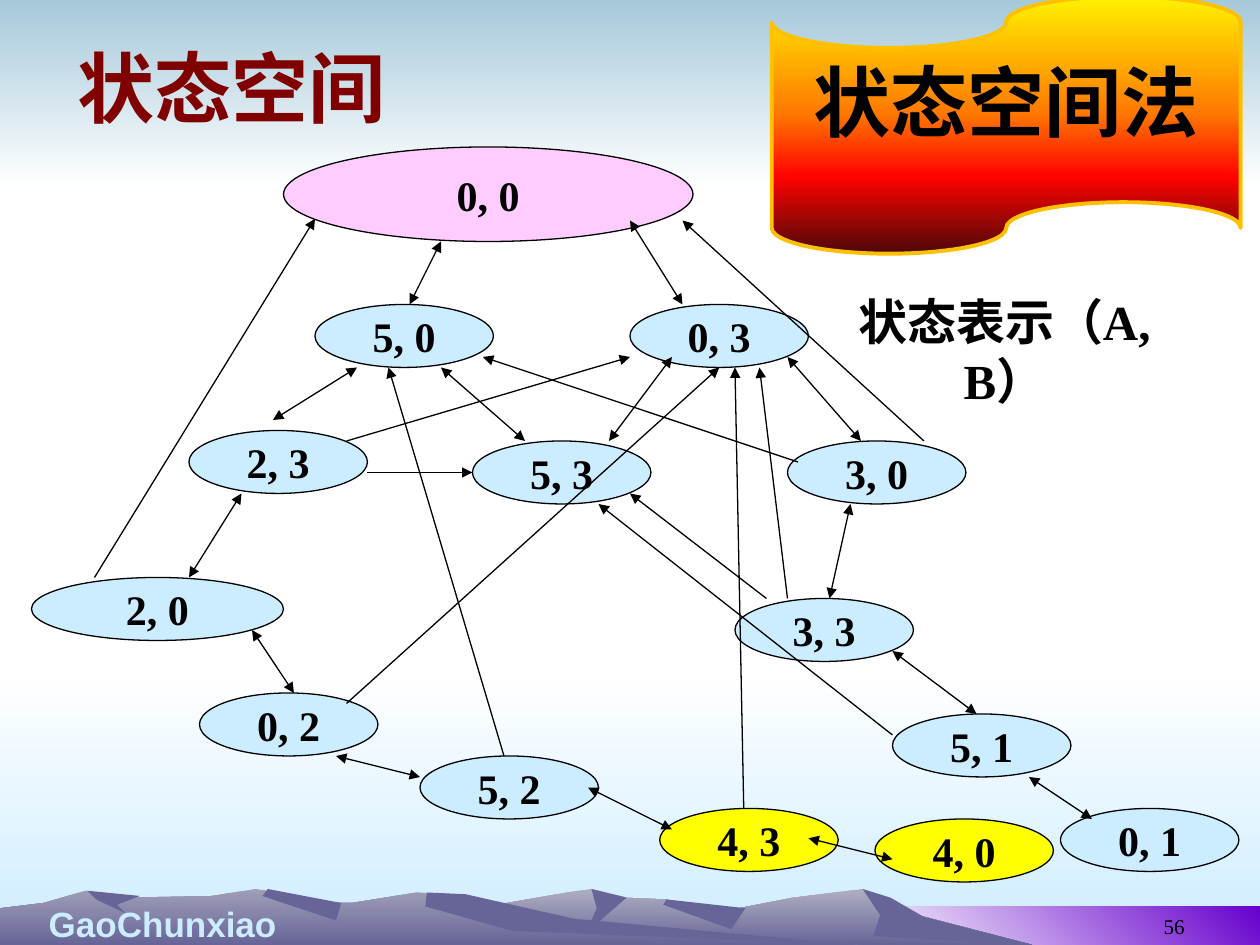
from lxml.etree import SubElement
from pptx import Presentation
from pptx.dml.color import RGBColor
from pptx.enum.shapes import MSO_CONNECTOR, MSO_SHAPE
from pptx.enum.text import MSO_ANCHOR, MSO_AUTO_SIZE, PP_ALIGN
from pptx.oxml.ns import qn
from pptx.util import Pt

THEME = {
    "title": "800000", "ink": "000000", "pale": "CCECFF", "pink": "FFCCFF",
    "gold": "FFFF00", "rock": "676597", "edge": "FFC000",
    "sky": [(0, "A6C9DA"), (100, "FFFFFF")],
    "glow": [(0, "FFFFFF"), (100, "CCECFF")],
    "dusk": [(0, "FFFFFF"), (100, "6600CC")],
    "far": [(0, "AEAEC2"), (100, "676597")],
    "near": [(0, "9F9EB8"), (100, "676597")],
    "fire": [(0, "FFF200"), (45, "FF7A00"), (70, "FF0300"), (100, "4D0808")],
    "serif": "Times New Roman", "sans": "Arial",
    "big": 44, "note": 28, "node": 24, "foot": 20, "page": 12,
    "thin": 0.75, "thick": 2.25,
}

# Background bands: box, gradient, angle
BANDS = [
    ((0, 384, 720, 156), "glow", 90),
    ((0, 0, 720, 108), "sky", 90),
    ((492, 518, 228, 22), "dusk", 315),
]

# Mountain outlines: fill, points
HILLS = [
    ("far", [(186, 540), (256, 522), (324, 510), (338, 508), (358, 513), (381, 514),
             (407, 522), (453, 513), (493, 508), (521, 522), (590, 540)]),
    ("rock", [(493, 508), (509, 513), (528, 524), (555, 531), (590, 540),
              (499, 535), (503, 523)]),
    ("rock", [(338, 508), (358, 513), (335, 533), (341, 519)]),
    ("rock", [(381, 514), (426, 519), (418, 531), (379, 517)]),
    ("near", [(0, 540), (0, 519), (25, 516), (49, 509), (68, 513), (121, 512),
              (146, 508), (161, 510), (170, 516), (201, 516), (238, 510),
              (255, 511), (311, 527), (490, 540)]),
    ("rock", [(153, 508), (195, 516), (192, 526), (150, 512)]),
    ("rock", [(244, 510), (266, 511), (328, 525), (490, 540), (293, 532), (243, 518)]),
    ("rock", [(50, 509), (80, 512), (67, 517), (72, 522), (55, 514)]),
]

# States by fill: label, left, top; all the same size but the wide ones
SIZE = (102, 36)
WIDE = {"0, 0": (234, 54), "2, 0": (144, 36)}
NODES = {
    "pink": [("0, 0", 162, 84)],
    "pale": [("5, 0", 180, 174), ("0, 3", 360, 174), ("2, 3", 108, 246),
             ("5, 3", 270, 252), ("3, 0", 450, 252), ("2, 0", 18, 330),
             ("3, 3", 420, 342), ("0, 2", 114, 396), ("5, 2", 240, 432),
             ("5, 1", 510, 408), ("0, 1", 606, 462)],
    "gold": [("4, 3", 377, 462), ("4, 0", 500, 468)],
}

# Moves by arrowheads: x1, y1, x2, y2
MOVES = {
    ("headEnd", "tailEnd"): [
        (252, 138, 234, 174), (360, 126, 390, 174), (204, 210, 156, 240),
        (252, 210, 300, 252), (384, 204, 348, 252), (450, 204, 492, 252),
        (108, 330, 138, 282), (486, 288, 474, 342), (144, 360, 168, 396),
        (192, 432, 240, 444), (510, 372, 558, 408), (336, 450, 384, 474),
        (588, 444, 624, 468), (462, 479, 510, 491)],
    ("tailEnd",): [
        (210, 270, 270, 270), (198, 252, 360, 204), (456, 264, 276, 204),
        (528, 252, 390, 126), (54, 330, 180, 125), (438, 342, 360, 282),
        (450, 342, 434, 210), (198, 402, 411, 210), (288, 432, 222, 210),
        (510, 420, 342, 288), (425, 462, 420, 210)],
}


def box(*lengths):
    return [Pt(v) for v in lengths]


def color(key):
    return RGBColor.from_string(THEME[key])


def style(shape, key, turn=90, line=None, width="thin"):
    shape.shadow.inherit = False
    tone = THEME[key]
    if isinstance(tone, str):
        shape.fill.solid()
        shape.fill.fore_color.rgb = color(key)
    else:
        shape.fill.gradient()
        shape.fill.gradient_angle = 360 - turn
        stops = shape._element.spPr.find(qn("a:gradFill")).find(qn("a:gsLst"))
        for old in list(stops):
            stops.remove(old)
        for pos, tint in tone:
            stop = SubElement(stops, qn("a:gs"), pos=str(pos * 1000))
            SubElement(stop, qn("a:srgbClr"), val=tint)
    if line:
        shape.line.color.rgb = color(line)
        shape.line.width = Pt(THEME[width])
    else:
        shape.line.fill.background()


def write(shape, text, size, face="serif", tone="ink", bold=True,
          align=PP_ALIGN.CENTER, anchor=MSO_ANCHOR.TOP, wrap=True):
    frame = shape.text_frame
    frame.text = text
    frame.word_wrap = wrap
    frame.auto_size = MSO_AUTO_SIZE.NONE
    frame.vertical_anchor = anchor
    para = frame.paragraphs[0]
    para.alignment = align
    para.font.size, para.font.bold = Pt(THEME[size]), bold
    para.font.name = THEME[face]
    para.font.color.rgb = color(tone)


def link(shapes, ends, tips):
    line = shapes.add_connector(MSO_CONNECTOR.STRAIGHT, *box(*ends))
    line.line.color.rgb = color("ink")
    line.line.width = Pt(THEME["thin"])
    props = line._element.spPr
    for tip in tips:
        SubElement(props.find(qn("a:ln")), qn("a:" + tip), type="triangle")
    SubElement(props, qn("a:effectLst"))


def main():
    deck = Presentation()
    deck.slide_width, deck.slide_height = box(720, 540)
    slide = deck.slides.add_slide(deck.slide_layouts[5])
    shapes = slide.shapes

    # Backdrop
    for area, key, turn in BANDS:
        style(shapes.add_shape(MSO_SHAPE.RECTANGLE, *box(*area)), key, turn)
    for key, dots in HILLS:
        pen = shapes.build_freeform(*dots[0], scale=Pt(1))
        pen.add_line_segments(dots[1:], close=True)
        style(pen.convert_to_shape(), key)

    # Footer
    write(shapes.add_textbox(*box(0, 512, 186, 28)), "GaoChunxiao", "foot", "sans", "pale")
    write(shapes.add_textbox(*box(516, 506, 168, 34)), "56", "page", bold=False,
          align=PP_ALIGN.RIGHT, anchor=MSO_ANCHOR.BOTTOM)

    # Title, raised above the backdrop
    title = shapes.title
    title.left, title.top, title.width, title.height = box(37, 9, 648, 81)
    write(title, "状态空间", "big", tone="title", align=PP_ALIGN.LEFT,
          anchor=MSO_ANCHOR.MIDDLE)
    shapes._spTree.append(title._element)

    # State graph
    for key, group in NODES.items():
        for label, left, top in group:
            size = WIDE.get(label, SIZE)
            node = shapes.add_shape(MSO_SHAPE.OVAL, *box(left, top, *size))
            style(node, key, line="ink")
            write(node, label, "node", anchor=MSO_ANCHOR.MIDDLE, wrap=False)
    for tips, group in MOVES.items():
        for ends in group:
            link(shapes, ends, tips)

    # Caption and banner
    write(shapes.add_textbox(*box(473, 163, 202, 76)), "状态表示（A, B）", "note")
    tape = shapes.add_shape(MSO_SHAPE.FLOWCHART_PUNCHED_TAPE, *box(441, -2, 268, 147))
    style(tape, "fire", line="edge", width="thick")
    write(tape, "状态空间法", "big", "sans")
    deck.save("out.pptx")


if __name__ == "__main__":
    main()
